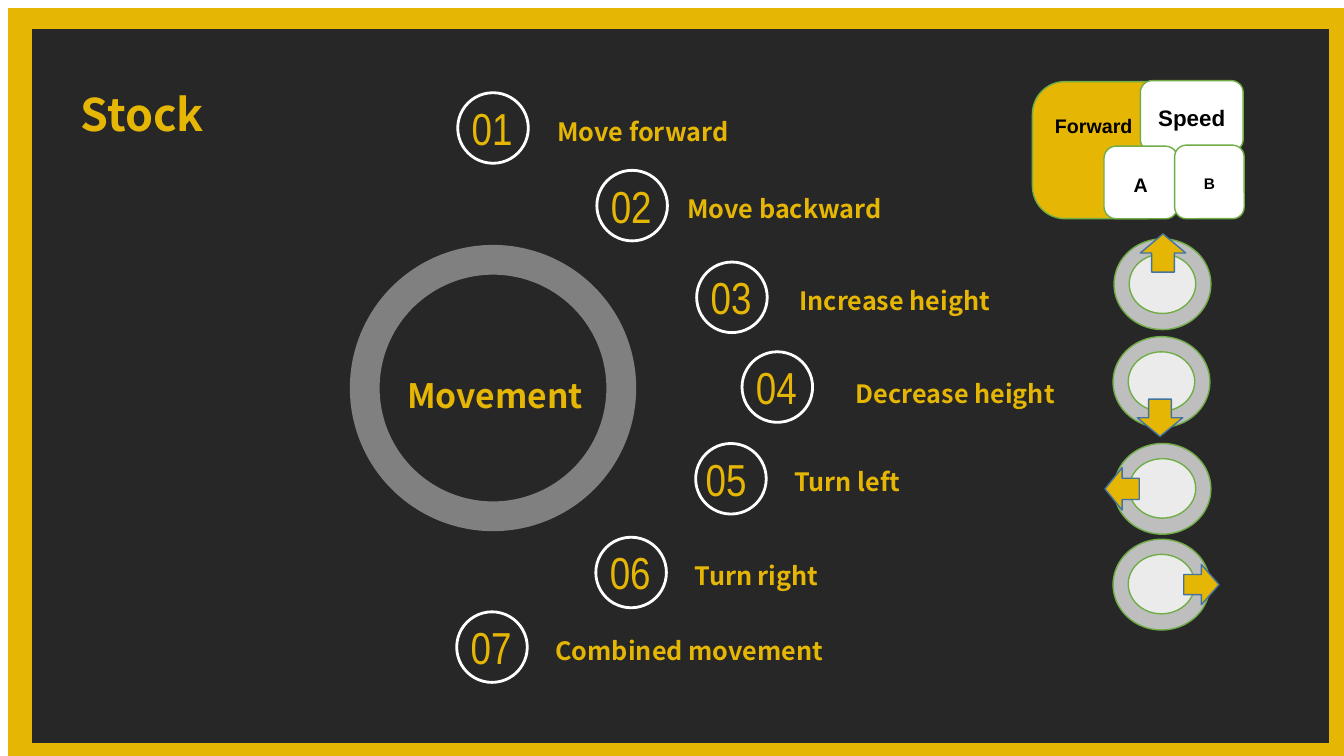
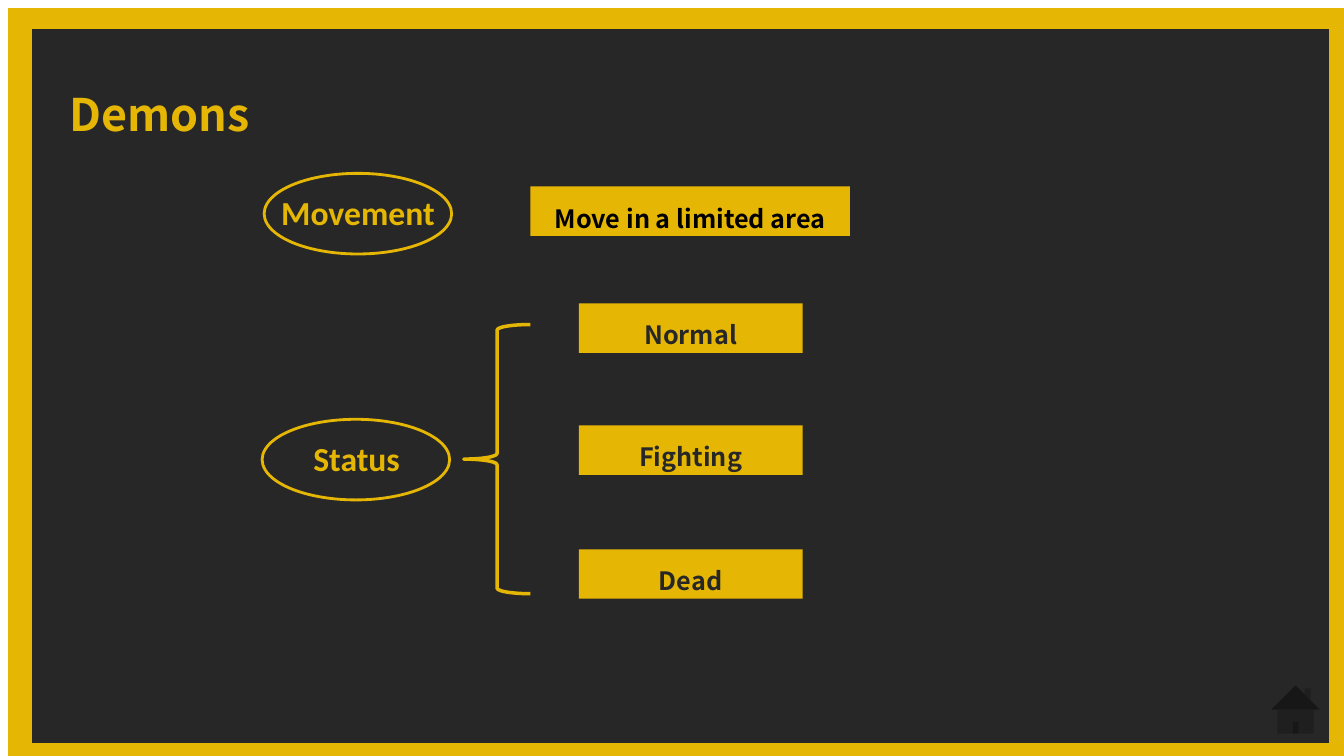
from dataclasses import dataclass

from lxml import etree
from pptx import Presentation
from pptx.dml.color import RGBColor
from pptx.enum.shapes import MSO_SHAPE
from pptx.enum.text import MSO_ANCHOR, MSO_AUTO_SIZE, PP_ALIGN
from pptx.oxml.ns import qn
from pptx.util import Inches, Pt

# Enum members
RECT, ROUNDED, OVAL = MSO_SHAPE.RECTANGLE, MSO_SHAPE.ROUNDED_RECTANGLE, MSO_SHAPE.OVAL
DONUT, BRACE, HOME = MSO_SHAPE.DONUT, MSO_SHAPE.LEFT_BRACE, MSO_SHAPE.ACTION_BUTTON_HOME
UP, DOWN = MSO_SHAPE.UP_ARROW, MSO_SHAPE.DOWN_ARROW
LEFT_TURN, RIGHT_TURN = MSO_SHAPE.LEFT_ARROW, MSO_SHAPE.RIGHT_ARROW
LEFT, CENTER = PP_ALIGN.LEFT, PP_ALIGN.CENTER
TOP, MIDDLE = MSO_ANCHOR.TOP, MSO_ANCHOR.MIDDLE
NO_FIT, GROW = MSO_AUTO_SIZE.NONE, MSO_AUTO_SIZE.SHAPE_TO_FIT_TEXT

# Shared look
GOLD, DARK, WHITE, BLACK = "E5B704", "282728", "FFFFFF", "000000"
GRAY, GREEN, BLUE = "808080", "70AD47", "43739E"
HEADING_FONT = "Noto Sans CJK SC"
TITLE_ONLY = 5

Box = tuple[float, float, float, float]


@dataclass(frozen=True)
class TextStyle:
    size: float
    font: str = HEADING_FONT
    color: str = GOLD
    bold: bool = True
    align: PP_ALIGN = CENTER
    anchor: MSO_ANCHOR = MIDDLE
    spacing: float = 1.0


TITLE = TextStyle(32, anchor=TOP, spacing=1.5)
HUB = TextStyle(24, anchor=TOP, spacing=1.5)
STEP_LABEL = TextStyle(18, align=LEFT, spacing=1.5)
STEP_NUMBER = TextStyle(32, "Arial Narrow", bold=False, align=LEFT, anchor=TOP)
TOPIC = TextStyle(24, "Calibri", align=LEFT, anchor=TOP)
STATE = TextStyle(18, color=DARK, spacing=1.4)
AREA = TextStyle(18, color=BLACK, spacing=1.5)


@dataclass(frozen=True)
class Step:
    text: str
    left: float
    top: float
    label_left: float
    label_rise: float = 0.07
    number_inset: float = 0.04


@dataclass(frozen=True)
class Stick:
    left: float
    top: float
    arrow: MSO_SHAPE
    arrow_box: Box


@dataclass(frozen=True)
class Key:
    text: str
    box: Box
    size: float


@dataclass(frozen=True)
class Topic:
    text: str
    oval_left: float
    oval_top: float
    text_box: Box


STEPS = (
    Step("Move forward", 4.54, 0.92, 5.43),
    Step("Move backward", 5.92, 1.69, 6.72),
    Step("Increase height", 6.91, 2.6, 7.83),
    Step("Decrease height", 7.36, 3.49, 8.39, label_rise=0.04),
    Step("Turn left", 6.9, 4.4, 7.78, number_inset=0),
    Step("Turn right", 5.91, 5.33, 6.79),
    Step("Combined movement", 4.53, 6.07, 5.41),
)
STICKS = (
    Stick(11.05, 2.37, UP, (11.31, 2.32, 0.45, 0.38)),
    Stick(11.04, 3.34, DOWN, (11.28, 3.96, 0.45, 0.37)),
    Stick(11.05, 4.4, LEFT_TURN, (10.96, 4.64, 0.34, 0.42)),
    Stick(11.04, 5.35, RIGHT_TURN, (11.74, 5.6, 0.35, 0.4)),
)
KEYS = (
    Key("Speed", (11.31, 0.8, 1.02, 0.7), 16),
    Key("A", (10.95, 1.45, 0.73, 0.72), 14),
    Key("B", (11.65, 1.44, 0.69, 0.73), 11),
)
TOPICS = (
    Topic("Movement", 2.62, 1.72, (2.69, 1.85, 1.72, 0.5)),
    Topic("Status", 2.6, 4.16, (3.01, 4.3, 1.06, 0.5)),
)
STATES = {"Normal": 3.01, "Fighting": 4.22, "Dead": 5.45}


# Drawing helpers
def rgb(color: str) -> RGBColor:
    return RGBColor.from_string(color)


def write(shape, text: str, style: TextStyle, wrap: bool = True, fit=NO_FIT) -> None:
    frame = shape.text_frame
    frame.text = text
    frame.word_wrap = wrap
    frame.auto_size = fit
    frame.vertical_anchor = style.anchor
    paragraph = frame.paragraphs[0]
    paragraph.alignment = style.align
    paragraph.line_spacing = style.spacing
    font = paragraph.runs[0].font
    font.name, font.size, font.bold = style.font, Pt(style.size), style.bold
    font.color.rgb = rgb(style.color)


def add_text(slide, box: Box, text: str, style: TextStyle, wrap: bool = True, fit=NO_FIT) -> None:
    write(slide.shapes.add_textbox(*map(Inches, box)), text, style, wrap, fit)


def add_shape(slide, kind: MSO_SHAPE, box: Box, fill: str = "", line: str = "", width: float = 1):
    shape = slide.shapes.add_shape(kind, *map(Inches, box))
    shape.shadow.inherit = False
    if fill:
        shape.fill.solid()
        shape.fill.fore_color.rgb = rgb(fill)
    else:
        shape.fill.background()
    if line:
        shape.line.color.rgb = rgb(line)
        shape.line.width = Pt(width)
    else:
        shape.line.fill.background()
    return shape


def set_opacity(shape, percent: int) -> None:
    color = shape.element.spPr.find(qn("a:solidFill")).find(qn("a:srgbClr"))
    etree.SubElement(color, qn("a:alpha"), val=str(percent * 1000))


def add_slide(prs, title: str, title_width: float):
    slide = prs.slides.add_slide(prs.slide_layouts[TITLE_ONLY])
    heading = slide.shapes.title
    heading.left, heading.top = Inches(0.56), Inches(0.54)
    heading.width, heading.height = Inches(title_width), Inches(0.9)
    write(heading, title, TITLE)
    return slide


def move_frame_to_layout(slide) -> None:
    """Draw the gold band and dark panel once, behind every slide's content."""
    for box, fill in (((0.08, 0.08, 13.33, 7.5), GOLD), ((0.32, 0.29, 12.86, 7.08), DARK)):
        panel = add_shape(slide, RECT, box, fill)
        slide.slide_layout.shapes.element.append(panel.element)


def add_step(slide, number: int, step: Step) -> None:
    add_shape(slide, OVAL, (step.left, step.top, 0.7, 0.7), line=WHITE, width=2)
    number_box = (step.left + step.number_inset, step.top + 0.03, 0.67, 0.64)
    add_text(slide, number_box, f"{number:02}", STEP_NUMBER, wrap=False, fit=GROW)
    label_box = (step.label_left, step.top - step.label_rise, 4.19, 0.75)
    add_text(slide, label_box, step.text, STEP_LABEL)


def add_stick(slide, stick: Stick) -> None:
    for inset, width, height in ((0, 0.96, 0.9), (0.15, 0.66, 0.59)):
        box = (stick.left + inset, stick.top + inset, width, height)
        set_opacity(add_shape(slide, OVAL, box, WHITE, GREEN), 70)
    add_shape(slide, stick.arrow, stick.arrow_box, GOLD, BLUE)


def key_style(size: float, align: PP_ALIGN = CENTER) -> TextStyle:
    return TextStyle(size, "Arial", BLACK, align=align, spacing=1.15)


prs = Presentation()
prs.slide_width, prs.slide_height = Inches(13.33), Inches(7.5)

# Slide 1: movement steps and controls
stock = add_slide(prs, "Stock", 1.7)
move_frame_to_layout(stock)
ring = add_shape(stock, DONUT, (3.47, 2.43, 2.84, 2.84), GRAY)
ring.adjustments[0] = 0.104
add_text(stock, (3.84, 3.47, 2.14, 0.7), "Movement", HUB, fit=GROW)
for number, step in enumerate(STEPS, start=1):
    add_step(stock, number, step)
for stick in STICKS:
    add_stick(stock, stick)

forward = add_shape(stock, ROUNDED, (10.24, 0.81, 1.44, 1.36), GOLD, GREEN)
forward.adjustments[0] = 0.236
write(forward, "Forward", key_style(14, LEFT))
forward.text_frame.margin_left = Inches(0.13)
forward.text_frame.margin_bottom = Inches(0.57)
for key in KEYS:
    write(add_shape(stock, ROUNDED, key.box, WHITE, GREEN), key.text, key_style(key.size))

# Slide 2: demon movement and states
demons = add_slide(prs, "Demons", 2.05)
for topic in TOPICS:
    add_shape(demons, OVAL, (topic.oval_left, topic.oval_top, 1.86, 0.8), line=GOLD, width=2)
    add_text(demons, topic.text_box, topic.text, TOPIC, wrap=False, fit=GROW)
area = add_shape(demons, RECT, (5.26, 1.85, 3.17, 0.49), GOLD)
write(area, "Move in a limited area", AREA)
for state, top in STATES.items():
    write(add_shape(demons, RECT, (5.74, top, 2.22, 0.49), GOLD), state, STATE)
add_shape(demons, BRACE, (4.6, 3.22, 0.66, 2.67), line=GOLD, width=2.5)
add_shape(demons, HOME, (12.53, 6.71, 0.64, 0.66), DARK)

prs.save("out.pptx")
